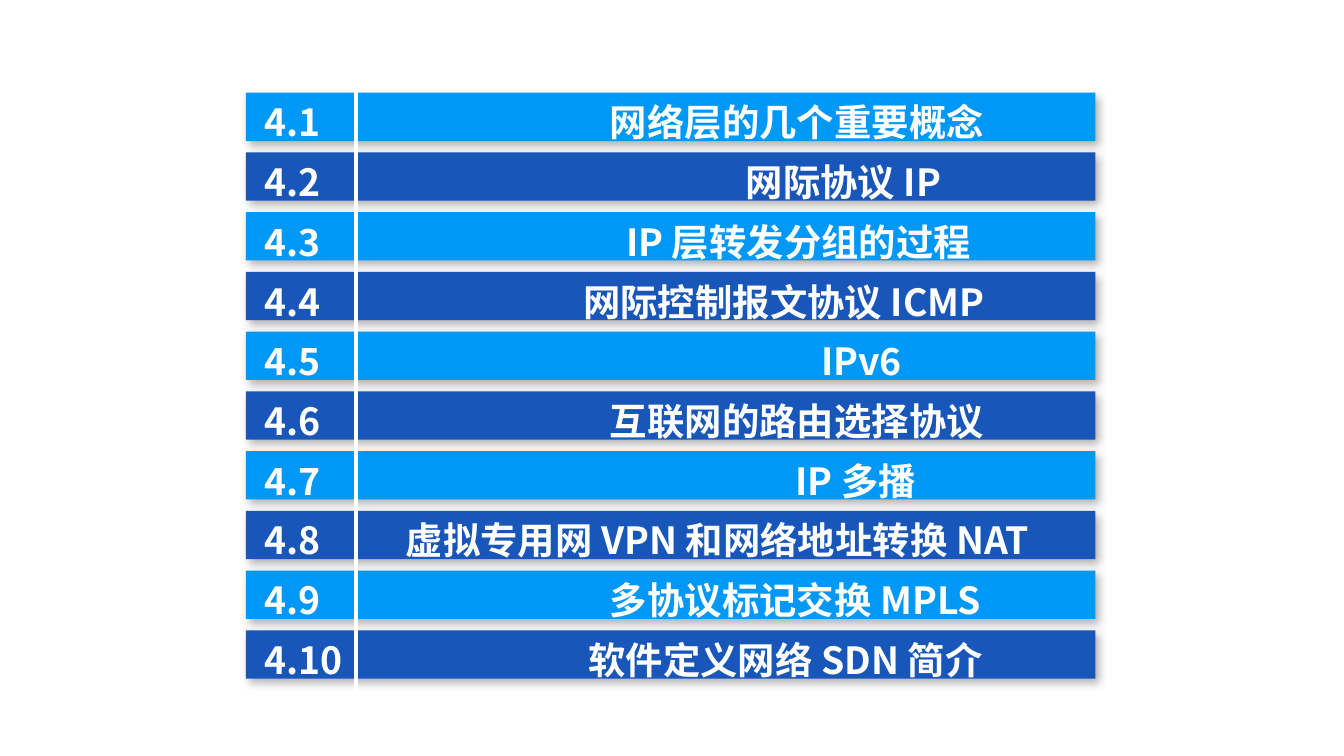
from lxml import etree
from pptx import Presentation
from pptx.dml.color import RGBColor as RGB
from pptx.enum.shapes import MSO_CONNECTOR as LINE, MSO_SHAPE as SHAPE
from pptx.enum.text import MSO_AUTO_SIZE as AUTOSIZE
from pptx.oxml.ns import qn
from pptx.util import Inches, Pt

COLORS = {"light": "0098F6", "dark": "1956B9", "white": "FFFFFF", "shadow": "000000"}
FONT = "Noto Sans CJK SC"
PITCH = Pt(32)  # shared by the bars and the text lines

# Section number, title, and title start within the text box (inches)
SECTIONS = [
    ("4.1", "网络层的几个重要概念", 2.57),
    ("4.2", "网际协议 IP", 3.58),
    ("4.3", "IP 层转发分组的过程", 2.69),
    ("4.4", "网际控制报文协议 ICMP", 2.37),
    ("4.5", "IPv6", 4.14),
    ("4.6", "互联网的路由选择协议", 2.57),
    ("4.7", "IP 多播", 3.95),
    ("4.8", "虚拟专用网 VPN 和网络地址转换 NAT", 1.05),
    ("4.9", "多协议标记交换 MPLS", 2.57),
    ("4.10", "软件定义网络 SDN 简介", 2.41),
]

# Widescreen 16:9 slide
prs = Presentation()
prs.slide_width = Inches(10)
prs.slide_height = Inches(10) * 9 // 16
slide = prs.slides.add_slide(prs.slide_layouts[6])


def add_shadow(shape):
    shape.shadow.inherit = False
    effects = shape._element.spPr.find(qn("a:effectLst"))
    outer = etree.SubElement(effects, qn("a:outerShdw"), blurRad=str(Pt(4.5)),
                             dist=str(Pt(2.6)), dir=str(53 * 60000),
                             algn="tl", rotWithShape="0")
    color = etree.SubElement(outer, qn("a:srgbClr"), val=COLORS["shadow"])
    etree.SubElement(color, qn("a:alpha"), val="30000")


# Alternating bars
for row in range(len(SECTIONS)):
    bar = slide.shapes.add_shape(SHAPE.RECTANGLE, Inches(1.83), Inches(0.69) + row * PITCH,
                                 Inches(6.32), Inches(0.36))
    bar.fill.solid()
    bar.fill.fore_color.rgb = RGB.from_string(COLORS["dark" if row % 2 else "light"])
    bar.line.fill.background()
    add_shadow(bar)

# Divider between numbers and titles
divider = slide.shapes.add_connector(LINE.STRAIGHT, Inches(2.65), Inches(0.55),
                                     Inches(2.65), Inches(5.17))
divider.line.color.rgb = RGB.from_string(COLORS["white"])
divider.line.width = Pt(2.25)
etree.SubElement(divider._element.spPr, qn("a:effectLst"))

# Contents list, one tabbed line per section
contents = slide.shapes.add_textbox(Inches(1.87), Inches(0.58), Inches(6.21), Inches(4.59))
frame = contents.text_frame
frame.word_wrap = True
frame.auto_size = AUTOSIZE.SHAPE_TO_FIT_TEXT
text_format = {"size": Pt(20), "bold": True, "name": FONT}

for row, (number, title, start) in enumerate(SECTIONS):
    entry = frame.add_paragraph() if row else frame.paragraphs[0]
    entry.line_spacing = PITCH
    tabs = etree.SubElement(entry._p.get_or_add_pPr(), qn("a:tabLst"))
    etree.SubElement(tabs, qn("a:tab"), pos=str(Inches(start)), algn="l")
    words = entry.add_run()
    words.text = f"{number}\t{title}"
    for key, value in text_format.items():
        setattr(words.font, key, value)
    words.font.color.rgb = RGB.from_string(COLORS["white"])
    etree.SubElement(words._r.get_or_add_rPr(), qn("a:ea"), typeface=FONT)

prs.save("out.pptx")
